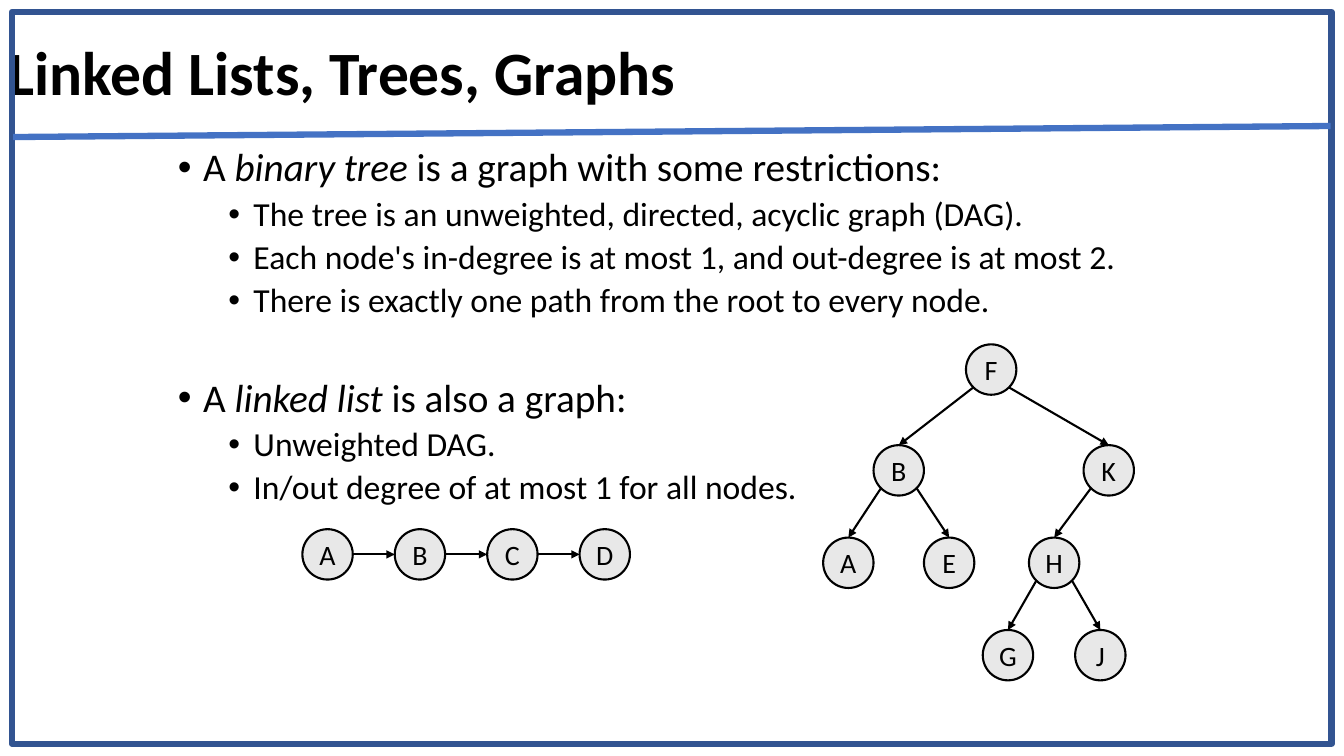
from lxml import etree
from pptx import Presentation
from pptx.dml.color import RGBColor
from pptx.enum import shapes, text
from pptx.oxml import ns
from pptx.util import Pt

BLACK = RGBColor(0x00, 0x00, 0x00)
NODE_GREY = RGBColor(0xE8, 0xE8, 0xE8)
FRAME_BLUE = RGBColor(0x32, 0x54, 0x91)
RULE_BLUE = RGBColor(0x44, 0x72, 0xC4)
FONT = "Calibri"
RADIUS = 18
DIAGONAL = 12.73

BULLETS = [
    (0, 0, ["A ", "binary tree", " is a graph with some restrictions:"]),
    (1, 5, ["The tree is an unweighted, directed, acyclic graph (DAG)."]),
    (1, 5, ["Each node's in-degree is at most 1, and out-degree is at most 2."]),
    (1, 5, ["There is exactly one path from the root to every node."]),
    (0, 41.4, ["A ", "linked list", " is also a graph:"]),
    (1, 5, ["Unweighted DAG."]),
    (1, 5, ["In/out degree of at most 1 for all nodes."]),
]
TREE_NODES = {
    "F": (708, 264), "B": (642, 336), "K": (792, 336), "A": (606, 402),
    "E": (678, 402), "H": (753, 402), "G": (720, 468), "J": (786, 468),
}
TREE_EDGES = ["FB", "FK", "BA", "BE", "KH", "HG", "HJ"]
LIST_NODES = "ABCD"
LIST_X, LIST_Y, LIST_STEP = 234, 396, 66


def add_run(p, content, size, bold=False, italic=False):
    """Add one formatted run to a paragraph."""
    r = p.add_run()
    r.text = content
    r.font.name, r.font.size = FONT, Pt(size)
    r.font.bold, r.font.italic = bold, italic
    r.font.color.rgb = BLACK


def add_textbox(slide, x, y, w, h, anchor):
    """Add a wrapping text box and return its text frame."""
    tf = slide.shapes.add_textbox(Pt(x), Pt(y), Pt(w), Pt(h)).text_frame
    tf.word_wrap = True
    tf.vertical_anchor = anchor
    return tf


def add_bullet(p, level, space, parts):
    """Fill a bulleted paragraph, with its second part in italics."""
    p.level = level
    p.line_spacing = 0.9
    p.space_before = Pt(space)
    pPr = p._p.get_or_add_pPr()
    pPr.set("marL", str(Pt(18 + 36 * level)))
    pPr.set("indent", str(Pt(-18)))
    etree.SubElement(pPr, ns.qn("a:buFont"), typeface="Arial")
    etree.SubElement(pPr, ns.qn("a:buChar"), char="•")
    for i, part in enumerate(parts):
        add_run(p, part, 28 - 4 * level, italic=i == 1)


def add_line(slide, start, end, color, width, arrow=False):
    """Add a straight line, with an arrowhead at its end if wanted."""
    sp = slide.shapes.add_connector(
        shapes.MSO_CONNECTOR.STRAIGHT, *(Pt(v) for v in (*start, *end)))
    sp.line.color.rgb = color
    sp.line.width = Pt(width)
    if arrow:
        etree.SubElement(sp.line._get_or_add_ln(), ns.qn("a:tailEnd"), type="triangle")
    etree.SubElement(sp._element.spPr, ns.qn("a:effectLst"))


def add_shape(slide, kind, x, y, w, h, color, width):
    """Add an unfilled, outlined preset shape."""
    sp = slide.shapes.add_shape(kind, Pt(x), Pt(y), Pt(w), Pt(h))
    sp.shadow.inherit = False
    sp.fill.background()
    sp.line.color.rgb = color
    sp.line.width = Pt(width)
    return sp


def add_node(slide, label, x, y):
    """Add a labelled circle centred on a point."""
    sp = add_shape(slide, shapes.MSO_SHAPE.OVAL, x - RADIUS, y - RADIUS,
                   2 * RADIUS, 2 * RADIUS, BLACK, 1.5)
    sp.fill.solid()
    sp.fill.fore_color.rgb = NODE_GREY
    tf = sp.text_frame
    tf.word_wrap = False
    tf.vertical_anchor = text.MSO_ANCHOR.MIDDLE
    p = tf.paragraphs[0]
    p.alignment = text.PP_ALIGN.CENTER
    add_run(p, label, 20)


def add_tree(slide):
    """Draw the binary tree, each arrow running from parent to child."""
    for label, (x, y) in TREE_NODES.items():
        add_node(slide, label, x, y)
    for parent, child in TREE_EDGES:
        (px, py), (cx, cy) = TREE_NODES[parent], TREE_NODES[child]
        side = DIAGONAL if cx > px else -DIAGONAL
        add_line(slide, (px + side, py + DIAGONAL), (cx, cy - RADIUS), BLACK, 1.5, True)


def add_linked_list(slide):
    """Draw the row of linked nodes."""
    for i, label in enumerate(LIST_NODES):
        x = LIST_X + i * LIST_STEP
        add_node(slide, label, x, LIST_Y)
        if i:
            add_line(slide, (x - LIST_STEP + RADIUS, LIST_Y), (x - RADIUS, LIST_Y),
                     BLACK, 1.5, True)


def main():
    """Build and save the slide."""
    prs = Presentation()
    prs.slide_width, prs.slide_height = Pt(960), Pt(540)
    slide = prs.slides.add_slide(prs.slide_layouts[6])

    p = add_textbox(slide, -0.7, 1.4, 828, 104.4, text.MSO_ANCHOR.MIDDLE).paragraphs[0]
    p.line_spacing = 0.9
    add_run(p, "Linked Lists, Trees, Graphs", 44, bold=True)

    tf = add_textbox(slide, 120, 102.2, 720, 437.8, text.MSO_ANCHOR.TOP)
    for i, (level, space, parts) in enumerate(BULLETS):
        p = tf.add_paragraph() if i else tf.paragraphs[0]
        add_bullet(p, level, space, parts)

    add_tree(slide)
    add_linked_list(slide)
    add_shape(slide, shapes.MSO_SHAPE.RECTANGLE, 8.6, 8.6, 942.5, 522.7, FRAME_BLUE, 4.5)
    add_line(slide, (9.4, 97.9), (950.4, 90), RULE_BLUE, 4.5)
    prs.save("out.pptx")


if __name__ == "__main__":
    main()
